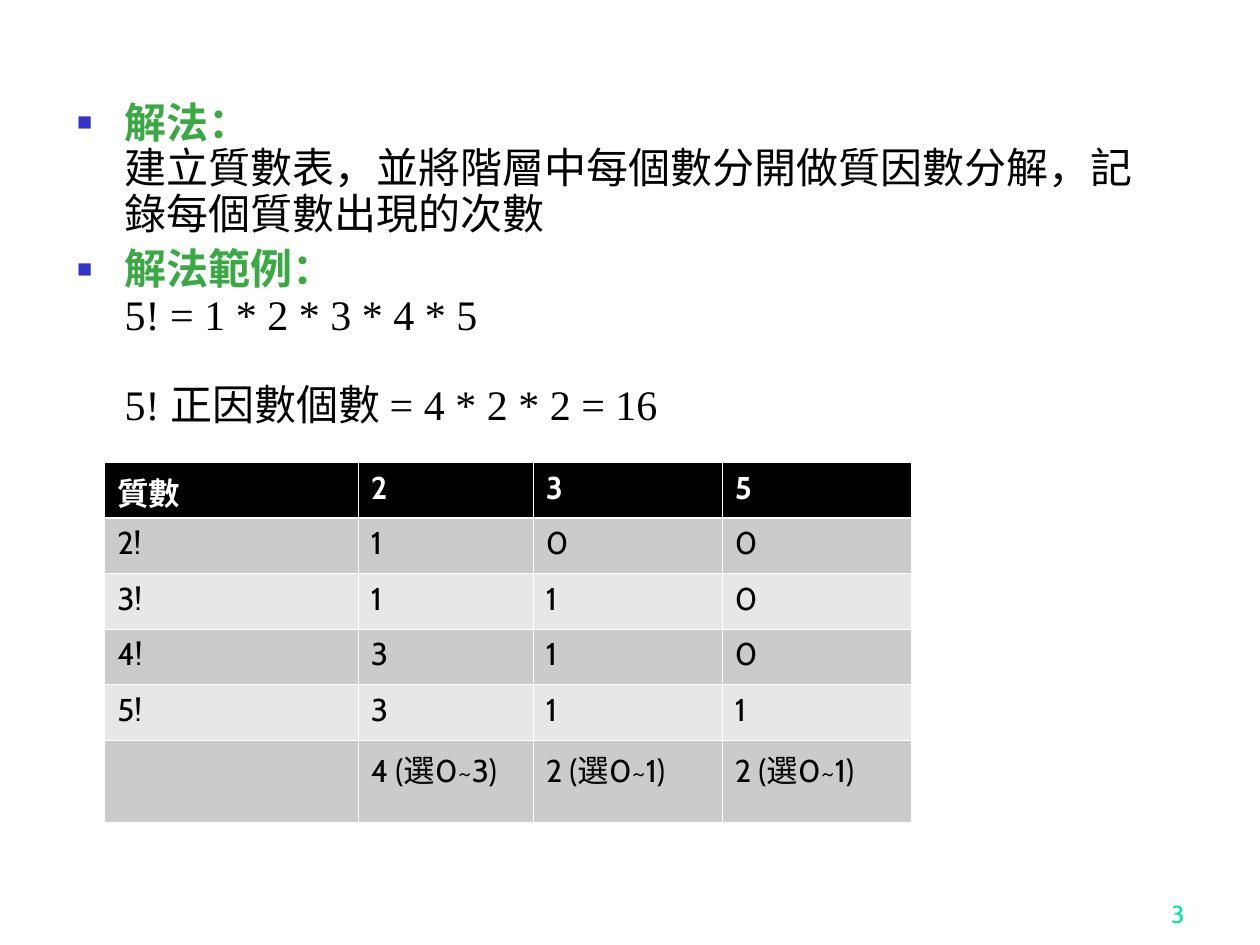
from typing import NamedTuple

from lxml import etree
from pptx import Presentation
from pptx import util as u
from pptx.dml import color
from pptx.enum import text
from pptx.oxml import ns

BLACK, WHITE, GREEN, BLUE, TEAL = "000000", "FFFFFF", "3BA943", "3333CC", "00E4A8"
BANDS = ("CBCBCB", "E7E7E7")


class Step(NamedTuple):
    heading: str
    lines: tuple[str, ...]
    space_before: int


STEPS = (
    Step("解法：", ("建立質數表，並將階層中每個數分開做質因數分解，記錄每個質數出現的次數",), 0),
    Step("解法範例：", ("5! = 1 * 2 * 3 * 4 * 5", "", "5! 正因數個數 = 4 * 2 * 2 = 16"), 6),
)
FACTOR_ROWS = (
    ("質數", "2", "3", "5"),
    ("2!", "1", "0", "0"),
    ("3!", "1", "1", "0"),
    ("4!", "3", "1", "0"),
    ("5!", "3", "1", "1"),
    ("", "4 (選0~3)", "2 (選0~1)", "2 (選0~1)"),
)
COLUMN_WIDTHS = (5.11, 3.53, 3.81, 3.81)
ROW_HEIGHTS = (1.12,) * 5 + (1.65,)


def rgb(value: str) -> color.RGBColor:
    return color.RGBColor.from_string(value)


def set_values(target, values: dict) -> None:
    for name, value in values.items():
        setattr(target, name, value)


def style_font(font, name: str, size: int, hue: str, bold: bool = False) -> None:
    set_values(font, {"name": name, "size": u.Pt(size), "bold": bold})
    font.color.rgb = rgb(hue)


def add_element(parent, tag: str, **attributes: str):
    return etree.SubElement(parent, ns.qn(tag), attributes)


def add_bullet(paragraph) -> None:
    properties = paragraph._p.get_or_add_pPr()
    indent = u.Cm(0.96)
    properties.set("marL", str(indent))
    properties.set("indent", str(-indent))
    add_element(add_element(properties, "a:buClr"), "a:srgbClr", val=BLUE)
    add_element(properties, "a:buSzPct", val="60000")
    add_element(properties, "a:buFont", typeface="Arial")
    add_element(properties, "a:buChar", char="■")


def add_step(paragraph, step: Step) -> None:
    add_bullet(paragraph)
    set_values(paragraph, {"line_spacing": 0.9, "space_before": u.Pt(step.space_before)})
    heading = paragraph.add_run()
    heading.text = step.heading
    style_font(heading.font, "Times New Roman", 24, GREEN, True)
    for line in step.lines:
        paragraph.add_line_break()
        if line:
            detail = paragraph.add_run()
            detail.text = line
            style_font(detail.font, "Times New Roman", 24, BLACK)
    for line_break in paragraph._p.findall(ns.qn("a:br")):
        add_element(line_break, "a:rPr", sz="2400")


def add_borders(cell, row: int) -> None:
    properties = cell._tc.get_or_add_tcPr()
    thick_side = {0: "a:lnB", 1: "a:lnT"}.get(row)
    for side in ("a:lnL", "a:lnR", "a:lnT", "a:lnB"):
        width = u.Pt(1.47 if side == thick_side else 0.45)
        border = add_element(properties, side, w=str(width))
        add_element(add_element(border, "a:solidFill"), "a:srgbClr", val=WHITE)


def fill_cell(cell, value: str, row: int) -> None:
    add_borders(cell, row)
    header = row == 0
    cell.fill.solid()
    cell.fill.fore_color.rgb = rgb(BLACK if header else BANDS[(row - 1) % 2])
    paragraph = cell.text_frame.paragraphs[0]
    paragraph.text = value
    style_font(paragraph.font, "Cabin", 18, WHITE if header else BLACK, header)


def add_factor_table(slide) -> None:
    table = slide.shapes.add_table(
        len(FACTOR_ROWS), len(COLUMN_WIDTHS), u.Cm(2.11), u.Cm(9.32),
        u.Cm(sum(COLUMN_WIDTHS)), u.Cm(sum(ROW_HEIGHTS))).table
    set_values(table, {"first_row": False, "horz_banding": False})
    for column, width in zip(table.columns, COLUMN_WIDTHS):
        column.width = u.Cm(width)
    for row, height in zip(table.rows, ROW_HEIGHTS):
        row.height = u.Cm(height)
    for row, values in enumerate(FACTOR_ROWS):
        for column, value in enumerate(values):
            fill_cell(table.cell(row, column), value, row)


def add_page_number(slide) -> None:
    frame = slide.shapes.add_textbox(u.Cm(18.85), u.Cm(17.58), u.Cm(5.28), u.Cm(1.27)).text_frame
    set_values(frame, {"word_wrap": True, "vertical_anchor": text.MSO_ANCHOR.BOTTOM})
    number = frame.paragraphs[0]
    set_values(number, {"text": "3", "alignment": text.PP_ALIGN.RIGHT})
    style_font(number.runs[0].font, "Cabin", 14, TEAL)


def add_solution(slide) -> None:
    body = slide.placeholders[1]
    set_values(body, {"left": u.Cm(1.3), "top": u.Cm(1.93),
                      "width": u.Cm(22.43), "height": u.Cm(15.62)})
    frame = body.text_frame
    frame.auto_size = text.MSO_AUTO_SIZE.NONE
    for index, step in enumerate(STEPS):
        add_step(frame.add_paragraph() if index else frame.paragraphs[0], step)


def main() -> None:
    deck = Presentation()
    set_values(deck, {"slide_width": u.Cm(25.4), "slide_height": u.Cm(19.05)})
    slide = deck.slides.add_slide(deck.slide_layouts[1])
    title = slide.shapes.title._element
    title.getparent().remove(title)
    add_page_number(slide)
    add_solution(slide)
    add_factor_table(slide)
    deck.save("out.pptx")


if __name__ == "__main__":
    main()
